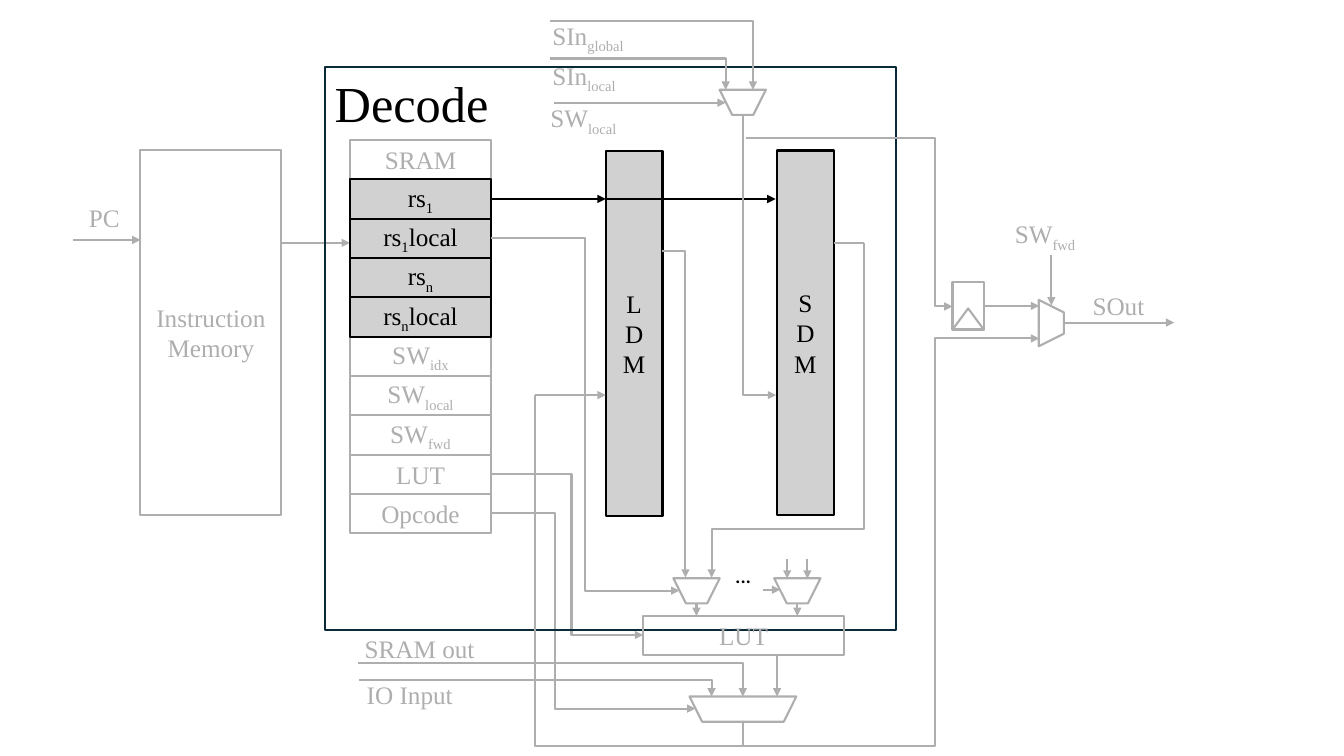
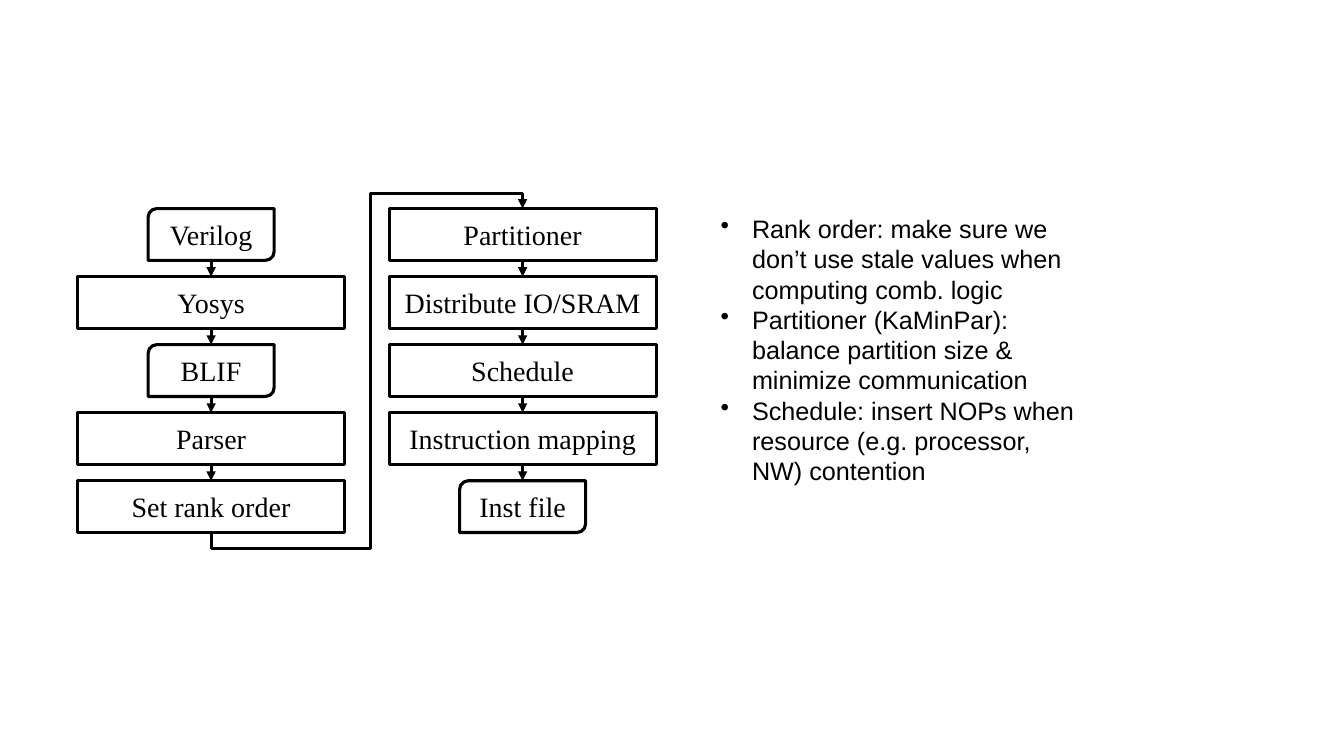
from dataclasses import dataclass, replace
from itertools import pairwise
from typing import Any

from lxml.etree import SubElement
from pptx import Presentation
from pptx.dml.color import RGBColor
from pptx.enum.shapes import MSO_CONNECTOR as Wire, MSO_SHAPE as Outline
from pptx.enum.text import MSO_ANCHOR as Anchor, MSO_AUTO_SIZE as AutoSize, PP_ALIGN as Align
from pptx.oxml.ns import qn
from pptx.util import Pt

BLACK, GREY, LIGHT, NAVY = "000000", "AEAEAE", "D1D1D1", "092A39"
SERIF = "Times New Roman"
TOP, LEFT, BOTTOM, RIGHT = range(4)


def paint(target, color):
    target.solid()
    target.fore_color.rgb = RGBColor.from_string(color)


def write(shape, text, size, color, font=SERIF, align=Align.LEFT):
    frame = shape.text_frame
    for number, line in enumerate(text.split("\n")):
        paragraph = frame.add_paragraph() if number else frame.paragraphs[0]
        paragraph.alignment = align
        paragraph.font.size = Pt(size)
        paragraph.font.name = font
        paint(paragraph.font.fill, color)
        for part in line.split("_"):
            paragraph.add_run().text = part
    for paragraph in shape.element.iter(qn("a:p")):
        for subscript in paragraph.findall(qn("a:r"))[1::2]:
            subscript.get_or_add_rPr().set("baseline", "-25000")


@dataclass
class Region:
    slide: Any
    left: float
    top: float
    ink: str = GREY
    weight: float = 1.5
    size: float = 18

    def box(self, x, y, width, height, text="", outline=Outline.RECTANGLE, fill=None):
        shape = self.slide.shapes.add_shape(
            outline, Pt(self.left + x), Pt(self.top + y), Pt(width), Pt(height))
        shape.shadow.inherit = False
        if fill:
            paint(shape.fill, fill)
        else:
            shape.fill.background()
        paint(shape.line.fill, self.ink)
        shape.line.width = Pt(self.weight)
        shape.text_frame.word_wrap = True
        shape.text_frame.vertical_anchor = Anchor.MIDDLE
        if text:
            write(shape, text, self.size, self.ink, align=Align.CENTER)
        return shape

    def mux(self, x, y, width=33.1, rotation=180):
        mux = self.box(x, y, width, 18, outline=Outline.TRAPEZOID)
        mux.adjustments[0] = 0.5
        mux.rotation = rotation

    def label(self, x, y, width, text, font=SERIF):
        label = self.slide.shapes.add_textbox(
            Pt(self.left + x), Pt(self.top + y), Pt(width), Pt(29))
        label.text_frame.word_wrap = False
        label.text_frame.auto_size = AutoSize.SHAPE_TO_FIT_TEXT
        write(label, text, self.size, self.ink, font)

    def connector(self, kind, x1, y1, x2, y2, arrow):
        wire = self.slide.shapes.add_connector(
            kind, Pt(self.left + x1), Pt(self.top + y1), Pt(self.left + x2), Pt(self.top + y2))
        paint(wire.line.fill, self.ink)
        wire.line.width = Pt(self.weight)
        if arrow:
            SubElement(wire.line._get_or_add_ln(), qn("a:tailEnd"), type="triangle")
        SubElement(wire.element.spPr, qn("a:effectLst"))
        return wire

    def line(self, x1, y1, x2, y2, arrow=True):
        return self.connector(Wire.STRAIGHT, x1, y1, x2, y2, arrow)

    def elbow(self, x1, y1, x2, y2, bend, vertical=False, arrow=True):
        if vertical:
            x, y, dx, dy = (x1 + x2) / 2, (y1 + y2) / 2, (x2 - x1) / 2, (y2 - y1) / 2
            wire = self.connector(Wire.ELBOW, x - dy, y + dx, x + dy, y - dx, arrow)
            wire.rotation = 90
            ratio = (bend - y1) / (y2 - y1)
        else:
            wire = self.connector(Wire.ELBOW, x1, y1, x2, y2, arrow)
            ratio = (bend - x1) / (x2 - x1)
        geometry = wire.element.spPr.find(qn("a:prstGeom"))
        guides = geometry.find(qn("a:avLst"))
        if guides is None:
            guides = SubElement(geometry, qn("a:avLst"))
        SubElement(guides, qn("a:gd"), name="adj1", fmla=f"val {round(ratio * 100000)}")


def instruction_fetch(slide, left, top):
    region = Region(slide, left, top)
    region.box(48.3, 0, 100.8, 260.6, "Instruction\nMemory")
    region.label(4.4, 33.8, 37.4, "PC")
    region.line(0, 64.1, 48.3, 64.1)
    region.line(149.1, 66.2, 198, 66.2)


def decode_stage(slide, left, top):
    region = Region(slide, left, top)
    active = replace(region, ink=BLACK)
    fields = ["SRAM", "rs_1", "rs_1_local", "rs_n", "rs_n_local",
              "SW_idx", "SW_local", "SW_fwd", "LUT", "Opcode"]
    pitch = 28.1
    rows = {}
    for in_front in (False, True):
        for number, field in enumerate(fields):
            if field.startswith("rs") == in_front:
                pen, fill = (active, LIGHT) if in_front else (region, None)
                rows[field] = pen.box(18, 52 + number * pitch, 100.8, pitch, field, fill=fill)
    for name, x, y in (("LDM", 200.7, 60), ("SDM", 323, 59.5)):
        memory = active.box(x, y, 40.5, 260.6, name, fill=LIGHT)
        memory.element.find(".//" + qn("a:bodyPr")).set("vert", "wordArtVert")
    active.line(118.8, 94.15, 200.7, 94.15).begin_connect(rows["rs_1"], RIGHT)
    active.line(200.7, 94.15, 322, 94.15)
    region.elbow(241.2, 131.3, 257.6, 364.6, bend=131.3, vertical=True)
    region.line(363.5, 125.5, 385, 125.5, arrow=False)
    region.elbow(385, 125.5, 276.3, 364.6, bend=330, vertical=True)
    region.elbow(118.8, 122.2, 253.3, 373.9, bend=185.6)
    region.elbow(118.8, 290.4, 227.4, 405.6, bend=176.2)
    region.elbow(118.8, 318.5, 264.8, 458.2, bend=164.7)
    frame = replace(region, ink=NAVY).box(0, 0, 408, 402)
    frame.text_frame.vertical_anchor = Anchor.TOP
    write(frame, "Decode", 36, BLACK)


def switch_inputs(slide, left, top):
    region = Region(slide, left, top)
    region.mux(128, 54.1)
    region.label(1.4, 0.8, 70.6, "SIn_global")
    region.label(1.4, 29.6, 63.4, "SIn_local")
    region.label(0, 59.8, 65.5, "SW_local")
    region.elbow(7.1, 5.1, 151.8, 54.1, bend=5.1, vertical=True)
    region.elbow(7.1, 31.8, 132.4, 54.1, bend=31.8, vertical=True)
    region.line(10, 63.4, 132.4, 63.4)
    region.elbow(144.6, 72.1, 168.4, 272.2, bend=144.6)
    region.elbow(146.8, 88.6, 294.4, 208.9, bend=282.2)


def lookup_and_result(slide, left, top):
    region = Region(slide, left, top)
    region.box(0, 40, 143.3, 28, "LUT")
    for x in (21.6, 93.6):
        region.mux(x, 13)
        region.line(x + 16.5, 31, x + 16.5, 40)
    replace(region, ink=BLACK).label(58.3, -4.7, 30.2, "…", "Roboto")
    region.line(85.6, 21.2, 97.9, 21.2)
    for x in (102.9, 117.3):
        region.line(x, -0.4, x, 13.3)
    region.mux(33.1, 97.5, 76.3)
    region.line(95.7, 68, 95.7, 97.5)
    region.elbow(-203.8, 73.8, 71.2, 97.5, bend=73.8, vertical=True)
    region.elbow(-203.1, 86, 48.9, 97.5, bend=86, vertical=True)
    region.label(-206, 48.6, 93.6, "SRAM out")
    region.label(-204.5, 81.7, 77, "IO Input")
    region.elbow(71.2, 114.8, -77.1, -117.8, bend=132.8, vertical=True, arrow=False)
    region.line(-77.1, -117.8, -26.7, -117.8)
    region.elbow(71.2, 132.8, 282.9, -158.2, bend=208.8)


def switch_output(slide, left, top):
    region = Region(slide, left, top)
    register = region.box(0.4, 51.6, 22.3, 33.8)
    region.box(0.4, 70.3, 22.3, 15.1, outline=Outline.ISOSCELES_TRIANGLE)
    region.line(22.7, 68.5, 62.3, 68.5).begin_connect(register, RIGHT)
    region.mux(54.4, 71.8, rotation=90)
    region.label(37.8, 2.6, 67, "SW_fwd")
    region.line(71, 32.2, 71, 68.2)
    region.label(93.3, 53.8, 51.8, "SOut")
    region.line(79.6, 80.4, 158.8, 80.4)


def tool_flow(slide, left, top):
    region = Region(slide, left, top, BLACK, 2.25, 20)
    width, height, pitch, column_pitch, file_width = 190.8, 37, 48.6, 222.5, 90
    files = {"Verilog", "BLIF", "Inst file"}
    columns = [["Verilog", "Yosys", "BLIF", "Parser", "Set rank order"],
               ["Partitioner", "Distribute IO/SRAM", "Schedule",
                "Instruction mapping", "Inst file"]]
    for column, steps in enumerate(columns):
        center = column * column_pitch + width / 2
        boxes = []
        for row, step in enumerate(steps):
            is_file = step in files
            step_width = file_width if is_file else width
            outline = Outline.ROUND_2_DIAG_RECTANGLE if is_file else Outline.RECTANGLE
            boxes.append(region.box(center - step_width / 2, row * pitch,
                                    step_width, height, step, outline))
        for row, ((step, box), (next_step, next_box)) in enumerate(pairwise(zip(steps, boxes))):
            arrow = region.line(center, row * pitch + height, center, (row + 1) * pitch)
            if step not in files:
                arrow.begin_connect(box, BOTTOM)
            if next_step not in files:
                arrow.end_connect(next_box, TOP)
    gutter, halfway = 209.5, 43
    region.elbow(width / 2, 4 * pitch + height, gutter, halfway,
                 bend=242.7, vertical=True, arrow=False)
    region.elbow(gutter, halfway, column_pitch + width / 2, 0, bend=-10.8, vertical=True)


def flow_notes(slide, left, top, width, height):
    notes = slide.shapes.add_textbox(Pt(left), Pt(top), Pt(width), Pt(height))
    notes.text_frame.word_wrap = True
    write(notes, "Rank order: make sure we don’t use stale values when computing comb. logic\n"
                 "Partitioner (KaMinPar): balance partition size & minimize communication\n"
                 "Schedule: insert NOPs when resource (e.g. processor, NW) contention",
          18, BLACK, "Arial")
    indent = Pt(22.5)
    for properties in notes.element.iter(qn("a:pPr")):
        properties.set("marL", str(indent))
        properties.set("indent", str(-indent))
        bullet = properties.makeelement(qn("a:buChar"), {"char": "•"})
        properties.find(qn("a:defRPr")).addprevious(bullet)


def main():
    deck = Presentation()
    deck.slide_width, deck.slide_height = Pt(960), Pt(540)
    blank = deck.slide_layouts[6]

    processor = deck.slides.add_slide(blank)
    instruction_fetch(processor, 52, 107.3)
    decode_stage(processor, 232, 48)
    lookup_and_result(processor, 459.4, 400)
    switch_inputs(processor, 386, 10)
    switch_output(processor, 680, 150)

    compiler = deck.slides.add_slide(blank)
    tool_flow(compiler, 55.4, 149)
    flow_notes(compiler, 507.6, 149, 273.6, 203.8)

    deck.save("out.pptx")


if __name__ == "__main__":
    main()
